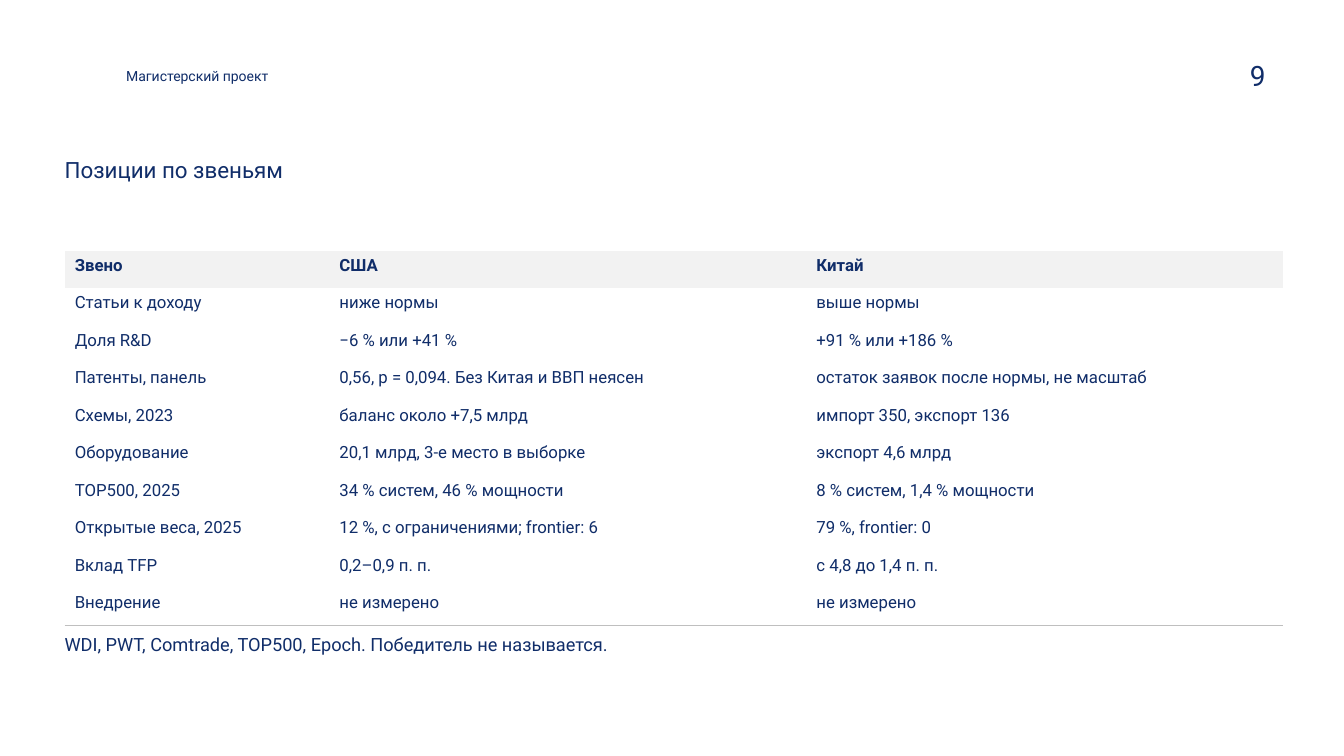
from lxml.etree import SubElement
from pptx import Presentation
from pptx.dml.color import RGBColor
from pptx.enum.text import MSO_ANCHOR as Anchor, MSO_AUTO_SIZE as AutoSize, PP_ALIGN as Align
from pptx.oxml import parse_xml
from pptx.oxml.ns import nsdecls, qn
from pptx.util import Cm, Pt

FONT = "Roboto"
COLORS = {"navy": "102D69", "header": "F2F2F2", "rule": "BFBFBF"}
PLAIN_TABLE_STYLE = "{2D5ABB26-0587-4C30-8999-92F81FD0307C}"
LEFT, CONTENT_WIDTH = Cm(1.63), Cm(30.71)
COLUMN_WIDTHS = (6.67, 12.02, 12.02)

POSITIONS = [
    ("Звено", "США", "Китай"),
    ("Статьи к доходу", "ниже нормы", "выше нормы"),
    ("Доля R&D", "−6 % или +41 %", "+91 % или +186 %"),
    ("Патенты, панель", "0,56, p = 0,094. Без Китая и ВВП неясен",
     "остаток заявок после нормы, не масштаб"),
    ("Схемы, 2023", "баланс около +7,5 млрд", "импорт 350, экспорт 136"),
    ("Оборудование", "20,1 млрд, 3-е место в выборке", "экспорт 4,6 млрд"),
    ("TOP500, 2025", "34 % систем, 46 % мощности", "8 % систем, 1,4 % мощности"),
    ("Открытые веса, 2025", "12 %, с ограничениями; frontier: 6", "79 %, frontier: 0"),
    ("Вклад TFP", "0,2–0,9 п. п.", "с 4,8 до 1,4 п. п."),
    ("Внедрение", "не измерено", "не измерено"),
]


def write(frame, text, size, bold=False):
    """Fill a text frame with one left-aligned paragraph."""
    frame.text = text
    paragraph = frame.paragraphs[0]
    paragraph.alignment = Align.LEFT
    font = paragraph.runs[0].font
    font.name, font.size, font.bold = FONT, Pt(size), bold
    font.color.rgb = RGBColor.from_string(COLORS["navy"])


def set_label(holder, text, size, anchor=Anchor.TOP):
    """Format a placeholder or text box without inner margins."""
    frame = holder.text_frame
    frame.margin_left = frame.margin_right = frame.margin_top = frame.margin_bottom = 0
    frame.word_wrap = True
    frame.auto_size = AutoSize.NONE
    frame.vertical_anchor = anchor
    write(frame, text, size)


def add_title(slide, text):
    title = slide.shapes.title
    title.left, title.top, title.width, title.height = LEFT, Cm(4.01), CONTENT_WIDTH, Cm(0.86)
    set_label(title, text, 16)
    title.text_frame.paragraphs[0].line_spacing = 0.9


def add_label(slide, text, size, left, top, width, height, anchor=Anchor.TOP):
    box = slide.shapes.add_textbox(left, top, width, height)
    set_label(box, text, size, anchor)


def add_bottom_rule(cell):
    rule = parse_xml(f'<a:lnB {nsdecls("a")} w="{Pt(0.5)}"/>')
    fill = SubElement(rule, qn("a:solidFill"))
    SubElement(fill, qn("a:srgbClr"), val=COLORS["rule"])
    cell._tc.get_or_add_tcPr().insert(0, rule)


def add_positions_table(slide, rows):
    table = slide.shapes.add_table(
        len(rows), len(COLUMN_WIDTHS), LEFT, Cm(6.32), CONTENT_WIDTH, Cm(9.45)).table
    table.horz_banding = False
    table._tbl.tblPr.find(qn("a:tableStyleId")).text = PLAIN_TABLE_STYLE
    for column, width in zip(table.columns, COLUMN_WIDTHS):
        column.width = Cm(width)

    for row_index, row in enumerate(rows):
        is_header = row_index == 0
        for column_index, text in enumerate(row):
            cell = table.cell(row_index, column_index)
            write(cell.text_frame, text, 12, bold=is_header)
            if is_header:
                cell.fill.solid()
                cell.fill.fore_color.rgb = RGBColor.from_string(COLORS["header"])
            else:
                cell.fill.background()
            if row_index == len(rows) - 1:
                add_bottom_rule(cell)


def main():
    deck = Presentation()
    deck.slide_width, deck.slide_height = Cm(33.87), Cm(19.05)
    slide = deck.slides.add_slide(deck.slide_layouts[5])

    # Header: project name and page number
    add_label(slide, "Магистерский проект", 10, Cm(3.18), Cm(1.3), Cm(6.6), Cm(1.24),
              Anchor.MIDDLE)
    add_label(slide, "9", 20, Cm(31.5), Cm(1.47), Cm(1.85), Cm(0.86))

    # Title, comparison table and sources
    add_title(slide, "Позиции по звеньям")
    add_positions_table(slide, POSITIONS)
    add_label(slide, "WDI, PWT, Comtrade, TOP500, Epoch. Победитель не называется.", 13,
              LEFT, Cm(15.95), Cm(18.95), Cm(1.96))

    deck.save("out.pptx")


if __name__ == "__main__":
    main()
